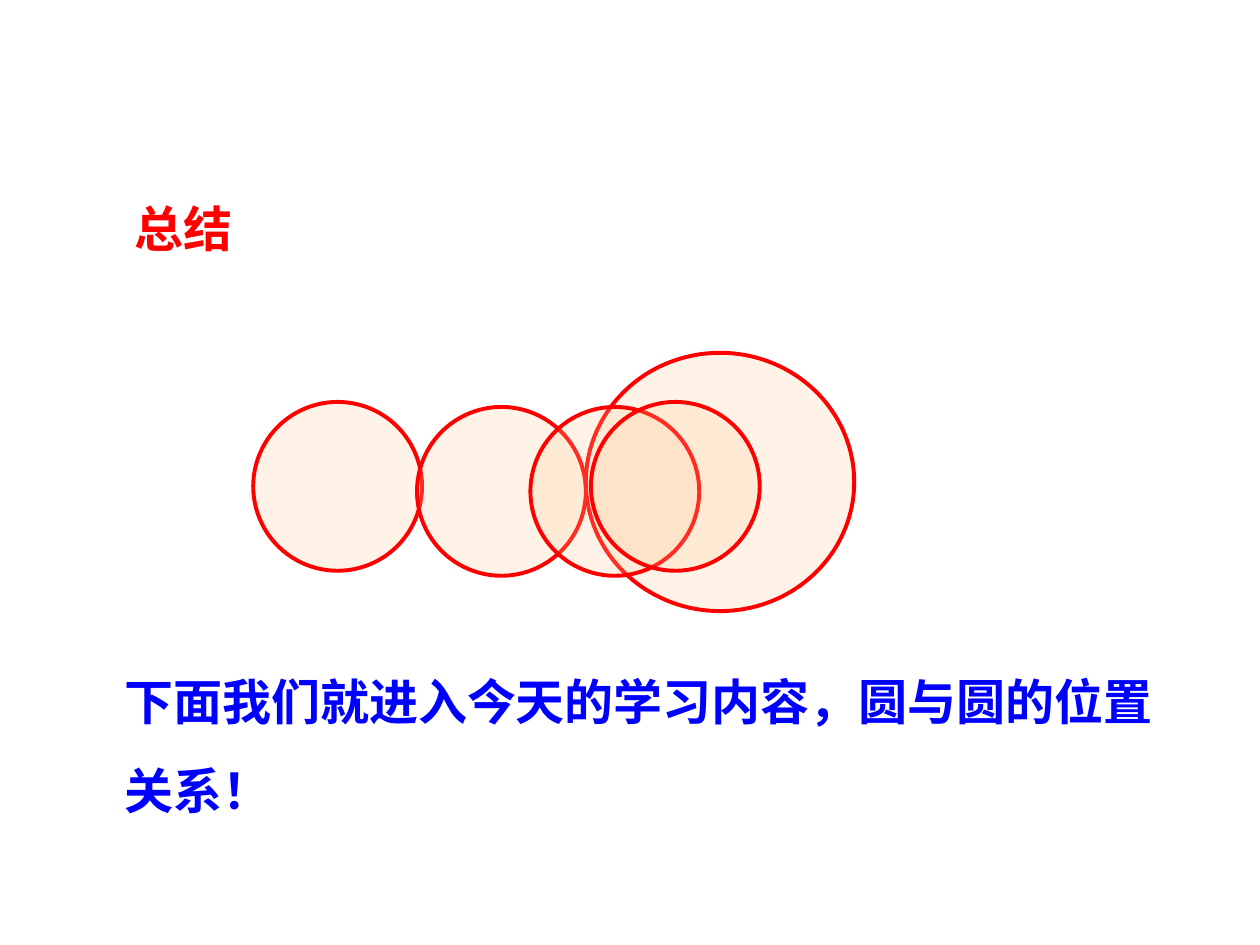
from lxml import etree
from pptx import Presentation
from pptx.dml.color import RGBColor
from pptx.enum import shapes, text
from pptx.oxml.ns import qn
from pptx.util import Inches, Pt

SMALL = (1.34, 1.34)
LARGE = (2.13, 2.05)
CIRCLES = [
    (2.01, 3.19, SMALL),
    (4.65, 2.8, LARGE),
    (3.31, 3.23, SMALL),
    (4.21, 3.23, SMALL),
    (4.69, 3.19, SMALL),
]
TEXTS = [
    ("下面我们就进入今天的学习内容，圆与圆的位置关系！", (0.89, 5.05, 8.49, 1.5), "0000FF", 1.5),
    ("总结", (0.97, 1.53, 1.66, 0.57), "FF0000", 1.0),
]
FILL, OUTLINE, OPACITY = "FFCC99", "FF0000", 22
FONT = {"name": "Arial", "size": Pt(28), "bold": True}


def color(value):
    return RGBColor.from_string(value)


def add_circle(page, left, top, size):
    circle = page.shapes.add_shape(
        shapes.MSO_SHAPE.OVAL, *map(Inches, (left, top, *size)))
    circle.shadow.inherit = False
    circle.fill.solid()
    circle.fill.fore_color.rgb = color(FILL)
    shade = circle.fill._xPr.find(qn("a:solidFill"))[0]
    etree.SubElement(shade, qn("a:alpha"), val=str(OPACITY * 1000))
    circle.line.color.rgb = color(OUTLINE)
    circle.line.width = Pt(2.25)


def add_text(page, words, place, ink, spacing):
    box = page.shapes.add_textbox(*map(Inches, place))
    frame = box.text_frame
    frame.word_wrap = True
    frame.auto_size = text.MSO_AUTO_SIZE.SHAPE_TO_FIT_TEXT
    para = frame.paragraphs[0]
    para.line_spacing = spacing
    span = para.add_run()
    span.text = words
    for name, value in FONT.items():
        setattr(span.font, name, value)
    span.font.color.rgb = color(ink)


def main():
    deck = Presentation()
    deck.slide_width, deck.slide_height = Inches(10), Inches(7.5)
    page = deck.slides.add_slide(deck.slide_layouts[6])
    for circle in CIRCLES:
        add_circle(page, *circle)
    for item in TEXTS:
        add_text(page, *item)
    deck.save("out.pptx")


if __name__ == "__main__":
    main()
